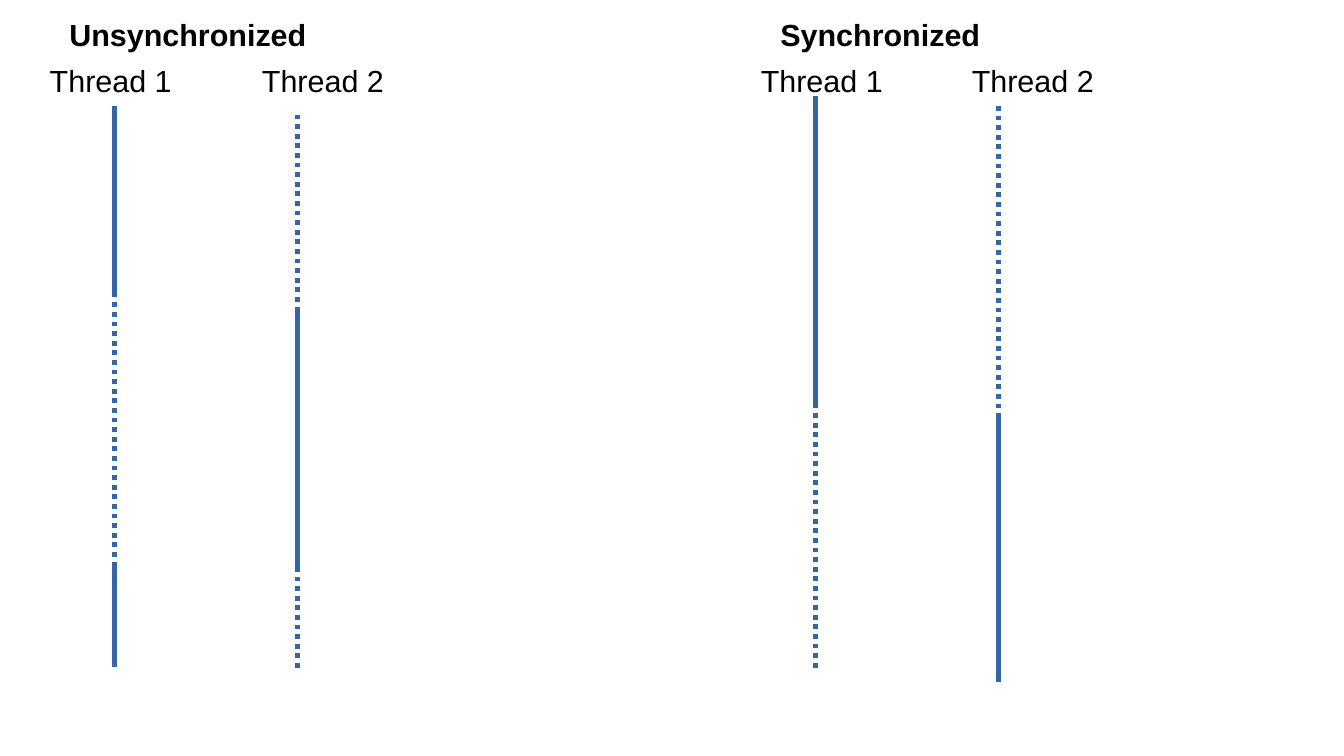
"""Build a slide comparing unsynchronized and synchronized thread timelines."""
import lxml.etree
import pptx
import pptx.dml.color
import pptx.enum.dml
import pptx.enum.shapes
import pptx.enum.text
import pptx.oxml.ns
import pptx.util

Inches = pptx.util.Inches

RUNNING, WAITING = "running", "waiting"
SCENARIOS = [
    {"title": "Unsynchronized", "title_left": 0.47, "threads": [
        {"label": "Thread 1", "label_left": 0.31, "timeline_x": 0.94, "phases": [
            (0.87, 2.44, RUNNING), (2.48, 4.61, WAITING), (4.61, 5.47, RUNNING)]},
        {"label": "Thread 2", "label_left": 2.05, "timeline_x": 2.44, "phases": [
            (0.94, 2.52, WAITING), (2.52, 4.65, RUNNING), (4.65, 5.51, WAITING)]},
    ]},
    {"title": "Synchronized", "title_left": 6.3, "threads": [
        {"label": "Thread 1", "label_left": 6.14, "timeline_x": 6.69, "phases": [
            (0.79, 3.31, RUNNING), (3.31, 5.51, WAITING)]},
        {"label": "Thread 2", "label_left": 7.87, "timeline_x": 8.19, "phases": [
            (0.87, 3.39, WAITING), (3.39, 5.59, RUNNING)]},
    ]},
]
THEME = {
    "font": "Arial",
    "size": pptx.util.Pt(18),
    "text": pptx.dml.color.RGBColor.from_string("000000"),
    "timeline": pptx.dml.color.RGBColor.from_string("3465A4"),
    "timeline_width": pptx.util.Pt(2.83),
}
TITLE_TOP, TITLE_WIDTH = 0.08, 3.15
LABEL_TOP, LABEL_WIDTH = 0.46, 1.34
TEXT_HEIGHT = 0.38


def add_text(slide, wording, left, top, width, bold=False):
    """Place one line of text."""
    caption = slide.shapes.add_textbox(
        Inches(left), Inches(top), Inches(width), Inches(TEXT_HEIGHT))
    frame = caption.text_frame
    frame.word_wrap = True
    frame.vertical_anchor = pptx.enum.text.MSO_ANCHOR.TOP
    frame.text = wording
    font = frame.paragraphs[0].runs[0].font
    font.name, font.size, font.bold = THEME["font"], THEME["size"], bold
    font.color.rgb = THEME["text"]


def add_phase(slide, x, start, end, state):
    """Draw one phase of a thread, dotted while it waits."""
    phase = slide.shapes.add_connector(
        pptx.enum.shapes.MSO_CONNECTOR.STRAIGHT,
        Inches(x), Inches(start), Inches(x), Inches(end))
    phase.line.color.rgb = THEME["timeline"]
    phase.line.width = THEME["timeline_width"]
    if state == WAITING:
        phase.line.dash_style = pptx.enum.dml.MSO_LINE.ROUND_DOT
    properties = phase._element.spPr
    lxml.etree.SubElement(properties, pptx.oxml.ns.qn("a:effectLst"))


def main():
    """Assemble and save the slide."""
    deck = pptx.Presentation()
    deck.slide_width, deck.slide_height = Inches(11.02), Inches(6.2)
    slide = deck.slides.add_slide(deck.slide_layouts[6])
    for scenario in SCENARIOS:
        add_text(slide, scenario["title"], scenario["title_left"],
                 TITLE_TOP, TITLE_WIDTH, bold=True)
        for thread in scenario["threads"]:
            add_text(slide, thread["label"], thread["label_left"],
                     LABEL_TOP, LABEL_WIDTH)
            for start, end, state in thread["phases"]:
                add_phase(slide, thread["timeline_x"], start, end, state)
    deck.save("out.pptx")


if __name__ == "__main__":
    main()
